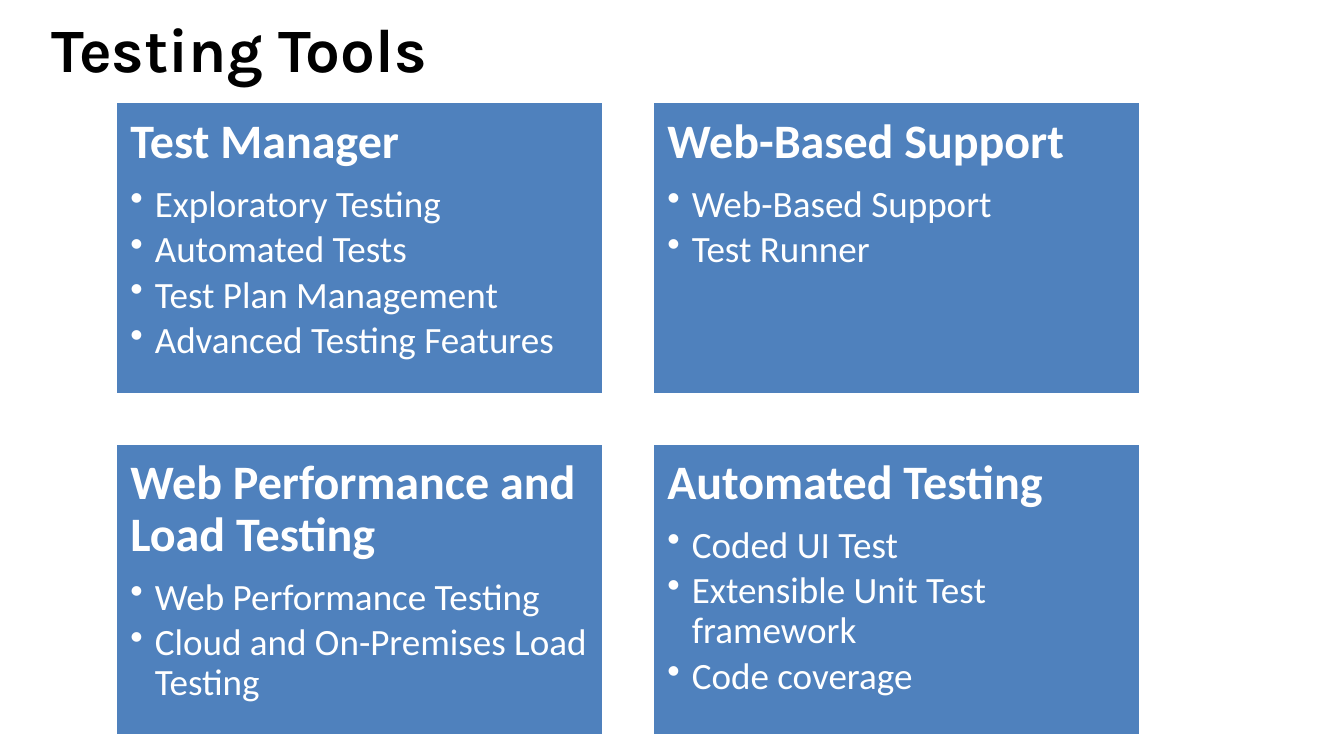
from lxml.etree import SubElement
from pptx import Presentation
from pptx.dml.color import RGBColor
from pptx.enum.shapes import MSO_SHAPE as Shape
from pptx.enum.text import MSO_ANCHOR as Anchor, PP_ALIGN as Align
from pptx.oxml.ns import qn
from pptx.util import Cm, Pt

BLACK = RGBColor(0x00, 0x00, 0x00)
WHITE = RGBColor(0xFF, 0xFF, 0xFF)
BLUE = RGBColor(0x4F, 0x81, 0xBD)

TOOLS = [
    ("Test Manager", ["Exploratory Testing", "Automated Tests",
                      "Test Plan Management", "Advanced Testing Features"]),
    ("Web-Based Support", ["Web-Based Support", "Test Runner"]),
    ("Web Performance and Load Testing",
     ["Web Performance Testing", "Cloud and On-Premises Load Testing"]),
    ("Automated Testing",
     ["Coded UI Test", "Extensible Unit Test framework", "Code coverage"]),
]


def write(para, text, size, font="Calibri", color=WHITE, bold=False,
          spacing=0.9, after=0, bullet=False):
    """Fill a paragraph with formatted text, bulleted if asked."""
    if bullet:
        para.level = 1
        props = para._p.get_or_add_pPr()
        props.set("marL", str(Cm(0.63)))
        props.set("indent", str(Cm(-0.63)))
        SubElement(props, qn("a:buChar")).set("char", "•")
    para.alignment = Align.LEFT
    para.line_spacing = spacing
    para.space_before = Pt(0)
    para.space_after = Pt(after)
    span = para.add_run()
    span.text = text
    span.font.name = font
    span.font.size = Pt(size)
    span.font.bold = bold
    span.font.color.rgb = color


def add_title(page, text, left, top, width, height):
    """Place the title placeholder in its box."""
    title = page.shapes.title
    title.left, title.top, title.width, title.height = left, top, width, height
    title.text_frame.vertical_anchor = Anchor.TOP
    write(title.text_frame.paragraphs[0], text, 44.9, font="Karla",
          color=BLACK, bold=True, spacing=0.8)


def add_card(page, heading, items, left, top, width, height):
    """Draw one blue card with a heading and a bulleted list."""
    card = page.shapes.add_shape(Shape.RECTANGLE, left, top, width, height)
    card.shadow.inherit = False
    card.fill.solid()
    card.fill.fore_color.rgb = BLUE
    card.line.color.rgb = WHITE
    card.line.width = Pt(2)
    frame = card.text_frame
    frame.word_wrap = True
    frame.vertical_anchor = Anchor.TOP
    frame.margin_left = frame.margin_right = Cm(0.38)
    frame.margin_top = frame.margin_bottom = Cm(0.38)
    write(frame.paragraphs[0], heading, 35, bold=True, after=12)
    for item in items:
        write(frame.add_paragraph(), item, 27, after=4, bullet=True)


def add_card_grid(page, cards, left, top, width, height, gap, columns=2):
    """Lay the cards out in equal cells of the box."""
    rows = -(-len(cards) // columns)
    card_width = (width - gap * (columns - 1)) // columns
    card_height = (height - gap * (rows - 1)) // rows
    for index, (heading, items) in enumerate(cards):
        row, column = divmod(index, columns)
        add_card(page, heading, items,
                 left + column * (card_width + gap),
                 top + row * (card_height + gap), card_width, card_height)


def main():
    """Build the deck and save it."""
    deck = Presentation()
    deck.slide_width, deck.slide_height = Cm(34.54), Cm(19.43)
    page = deck.slides.add_slide(deck.slide_layouts.get_by_name("Title Only"))
    add_title(page, "Testing Tools", Cm(1.07), Cm(0.51), Cm(32.66), Cm(3.02))
    add_card_grid(page, TOOLS, Cm(2.97), Cm(2.62), Cm(26.35), Cm(16.29),
                  gap=Cm(1.25))
    deck.save("out.pptx")


if __name__ == "__main__":
    main()
